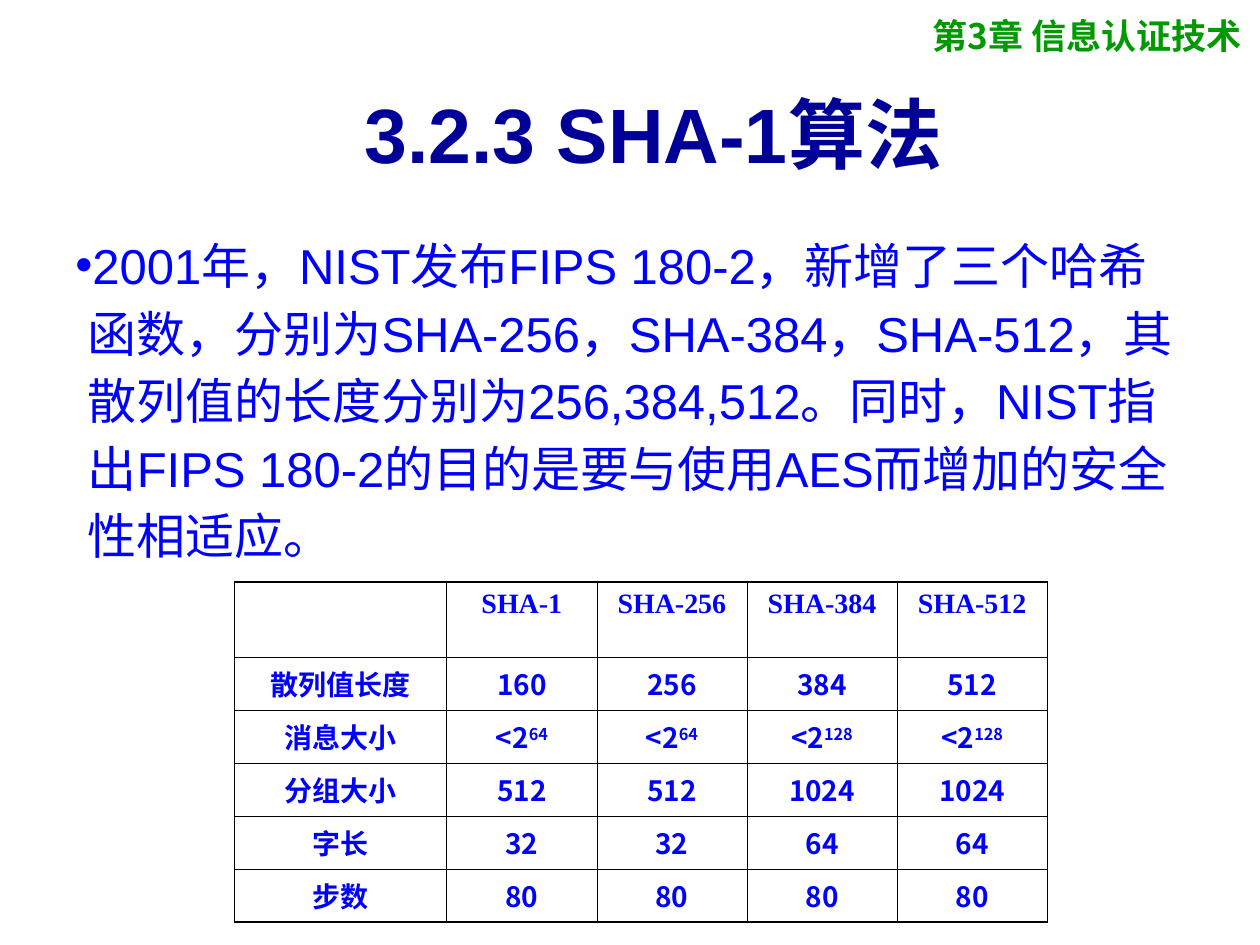
from lxml.etree import SubElement
from pptx import Presentation
from pptx.dml.color import RGBColor
from pptx.enum.text import MSO_ANCHOR as Anchor, PP_ALIGN as Align
from pptx.oxml.ns import qn
from pptx.util import Pt

GREEN = RGBColor(0x00, 0x99, 0x00)
NAVY = RGBColor(0x00, 0x00, 0x99)
BLUE = RGBColor(0x00, 0x00, 0xFF)
BLACK = RGBColor(0x00, 0x00, 0x00)
CJK_FONT = "Noto Sans CJK SC"


def add_run(paragraph, text, color, **font_format):
    """Append a run whose Chinese characters use the CJK font."""
    run = paragraph.add_run()
    run.text = text
    for name, value in font_format.items():
        setattr(run.font, name, value)
    run.font.color.rgb = color
    SubElement(run._r.get_or_add_rPr(), qn("a:ea"), typeface=CJK_FONT)
    return run


def add_text_box(slide, left, top, width, height, anchor=Anchor.TOP):
    """Add a wrapping text box and return its first paragraph."""
    shape = slide.shapes.add_textbox(Pt(left), Pt(top), Pt(width), Pt(height))
    shape.text_frame.word_wrap = True
    shape.text_frame.vertical_anchor = anchor
    return shape.text_frame.paragraphs[0]


presentation = Presentation()
presentation.slide_width, presentation.slide_height = Pt(720), Pt(540)
slide = presentation.slides.add_slide(presentation.slide_layouts[6])

# Chapter heading
chapter = add_text_box(slide, 255, 5, 461.5, 31.5)
chapter.alignment = Align.RIGHT
add_run(chapter, "第3章 信息认证技术", GREEN, size=Pt(20), bold=True, name=CJK_FONT)

# Body
body = add_text_box(slide, 36, 126, 647.5, 356.5)
body.line_spacing = 1.15
body.space_before = Pt(7)
add_run(
    body,
    "2001年，NIST发布FIPS 180-2，新增了三个哈希函数，分别为SHA-256，SHA-384，"
    "SHA-512，其散列值的长度分别为256,384,512。同时，NIST指出FIPS 180-2的目的是"
    "要与使用AES而增加的安全性相适应。",
    BLUE, size=Pt(28), name="Arial",
)
body_properties = body._p.get_or_add_pPr()
body_properties.set("marL", str(Pt(7.2)))
body_properties.set("indent", str(-Pt(7.2)))
bullet_color = SubElement(body_properties, qn("a:buClr"))
SubElement(bullet_color, qn("a:srgbClr"), val=str(BLUE))
SubElement(body_properties, qn("a:buFont"), typeface="Arial")
SubElement(body_properties, qn("a:buChar"), char="•")

# Comparison table; "^" starts a superscript
rows = [
    ["", "SHA-1", "SHA-256", "SHA-384", "SHA-512"],
    ["散列值长度", "160", "256", "384", "512"],
    ["消息大小", "<2^64", "<2^64", "<2^128", "<2^128"],
    ["分组大小", "512", "512", "1024", "1024"],
    ["字长", "32", "32", "64", "64"],
    ["步数", "80", "80", "80", "80"],
]
column_widths = [121.4] + [85.8] * 4
row_heights = [42.8] + [30.3] * 5
table = slide.shapes.add_table(
    len(rows), len(column_widths), Pt(133.9), Pt(332.6),
    Pt(sum(column_widths)), Pt(sum(row_heights)),
).table
for column, width in zip(table.columns, column_widths):
    column.width = Pt(width)
for row, height in zip(table.rows, row_heights):
    row.height = Pt(height)

last_row = len(rows) - 1
for row_index, texts in enumerate(rows):
    font_name = CJK_FONT if row_index else "Times New Roman"
    top_width = {0: 0.96, 1: 0.45}.get(row_index, 0.34)
    bottom_width = {0: 0.45, last_row: 0.96}.get(row_index, 0.34)
    borders = {"a:lnL": 0.34, "a:lnR": 0.34, "a:lnT": top_width, "a:lnB": bottom_width}
    for column_index, text in enumerate(texts):
        cell = table.cell(row_index, column_index)
        paragraph = cell.text_frame.paragraphs[0]
        paragraph.alignment = Align.CENTER
        base, _, exponent = text.partition("^")
        for part, baseline in ((base, 0), (exponent, 30000)):
            if part:
                run = add_run(paragraph, part, BLUE, size=Pt(16), bold=True, name=font_name)
                run._r.get_or_add_rPr().set("baseline", str(baseline))
        cell_properties = cell._tc.get_or_add_tcPr()
        for tag, width in borders.items():
            line = SubElement(cell_properties, qn(tag), w=str(Pt(width)))
            line_fill = SubElement(line, qn("a:solidFill"))
            SubElement(line_fill, qn("a:srgbClr"), val=str(BLACK))
        cell.fill.background()

# Title
title = add_text_box(slide, 49.5, 40.5, 648, 70.5, Anchor.MIDDLE)
title.alignment = Align.CENTER
add_run(title, "3.2.3 SHA-1算法", NAVY, size=Pt(44), bold=True, name="Arial")

presentation.save("out.pptx")
